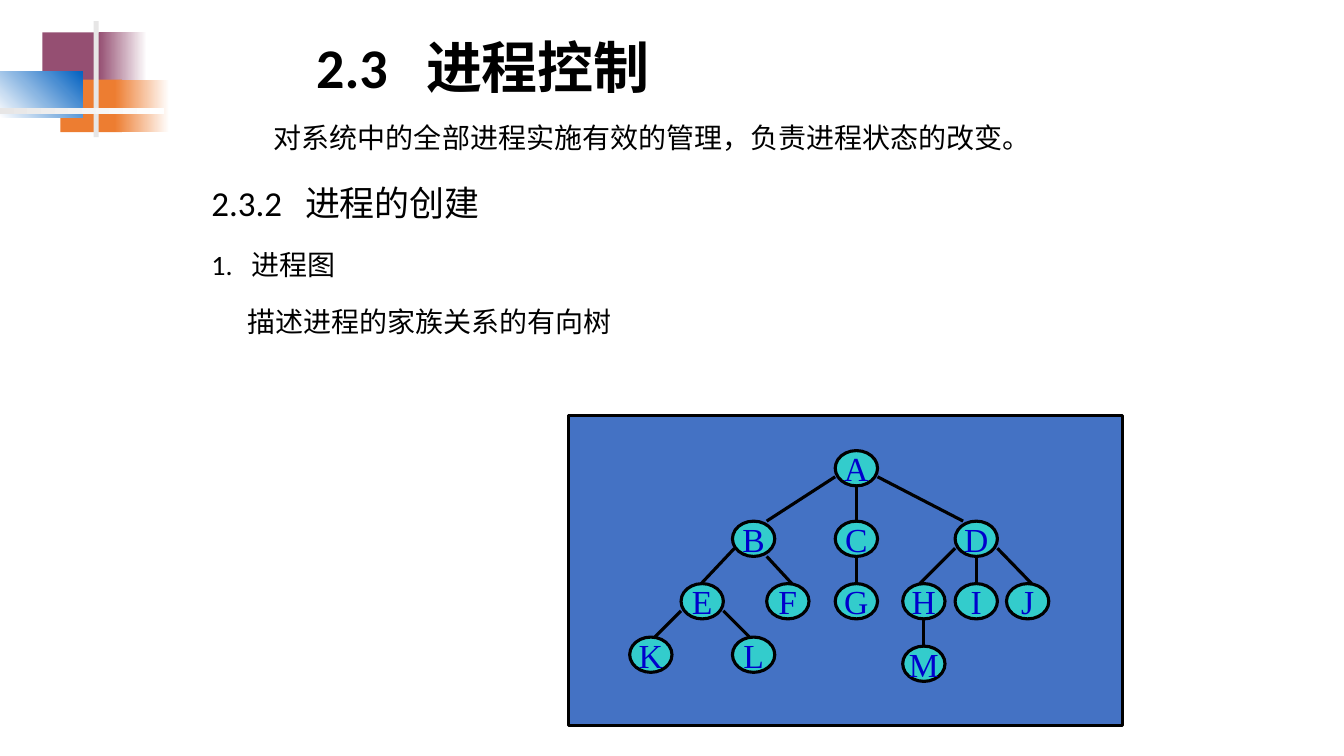
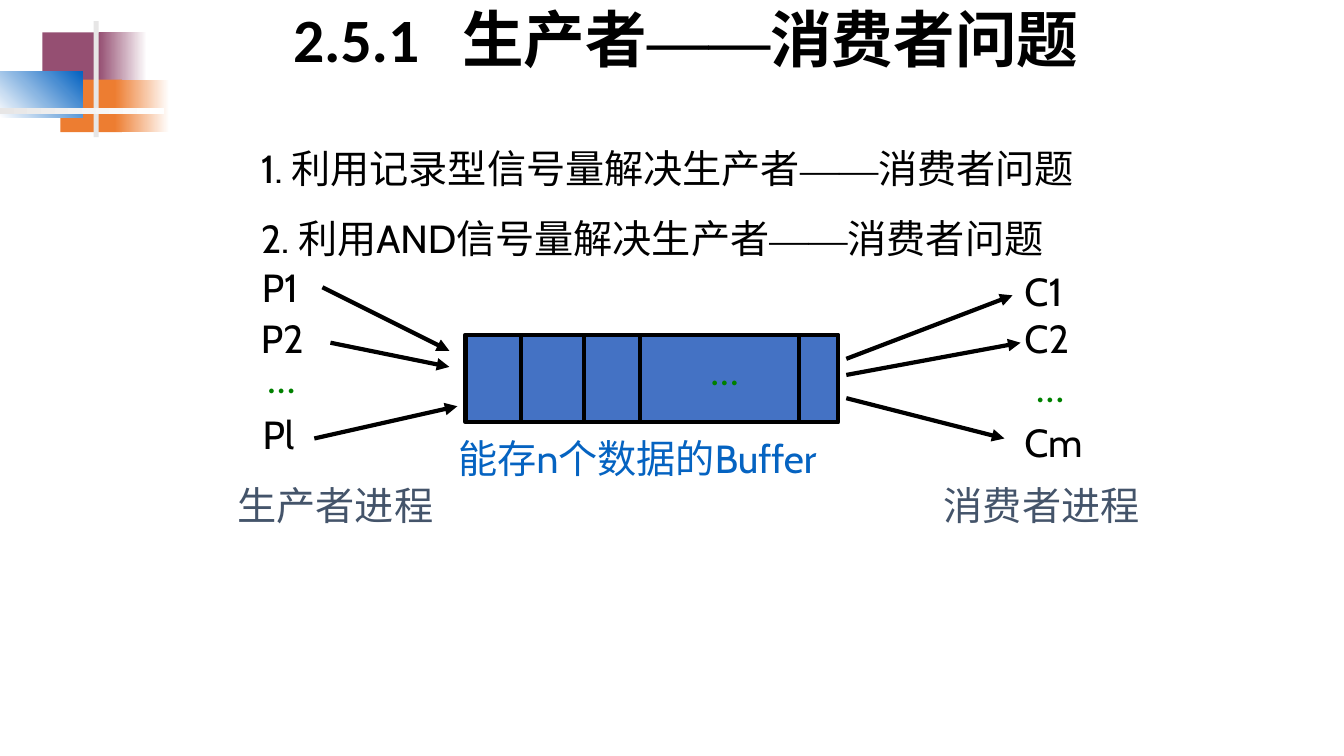
from dataclasses import dataclass

from lxml import etree
from pptx import Presentation
from pptx.dml.color import RGBColor
from pptx.enum import shapes, text
from pptx.oxml import ns
from pptx.util import Emu, Pt

PX = 9144


@dataclass(frozen=True)
class Theme:
    black: str = "000000"
    white: str = "FFFFFF"
    plum: str = "954F72"
    orange: str = "ED7D31"
    blue: str = "0563C1"
    panel: str = "4472C4"
    gray: str = "E7E6E6"
    slate: str = "44546A"
    green: str = "008000"
    node: str = "33CCCC"
    node_text: str = "0000CC"
    body: str = "Calibri"
    label: str = "Cabin"
    serif: str = "Times New Roman"
    title_size: int = 40
    wide_title_size: int = 44
    heading_size: int = 25
    body_size: int = 20
    label_size: int = 28
    node_size: int = 24
    thin: float = 2.25
    thick: float = 3


T = Theme()


def px(*values):
    return [Emu(v * PX) for v in values]


def rgb(value):
    return RGBColor.from_string(value)


def sub(parent, tag, **attrs):
    return etree.SubElement(parent, ns.qn(tag), **attrs)


class Deck:
    def __init__(self):
        self.prs = Presentation()
        self.prs.slide_width, self.prs.slide_height = px(1334, 750)
        self.s = None

    def slide(self):
        self.s = self.prs.slides.add_slide(self.prs.slide_layouts[6])
        self.rect((42, 32, 64, 52), T.plum)
        self.fade((98, 32, 48, 52), T.plum, T.white)
        self.rect((60, 79, 61, 52), T.orange)
        self.fade((114, 79, 54, 52), T.orange, T.white)
        self.fade((0, 71, 82, 46), T.white, T.blue, 45)
        self.rect((93, 21, 5, 115), T.gray)
        self.fade((0, 107, 163, 6), T.gray, T.white)

    def shape(self, kind, box, line=None):
        sp = self.s.shapes.add_shape(kind, *px(*box))
        sp.shadow.inherit = False
        if line:
            sp.line.color.rgb = rgb(T.black)
            sp.line.width = Pt(line)
        else:
            sp.line.fill.background()
        return sp

    def rect(self, box, color, line=None):
        sp = self.shape(shapes.MSO_SHAPE.RECTANGLE, box, line)
        sp.fill.solid()
        sp.fill.fore_color.rgb = rgb(color)

    def fade(self, box, start, end, angle=0):
        fill = self.shape(shapes.MSO_SHAPE.RECTANGLE, box).fill
        fill.gradient()
        fill.gradient_angle = angle
        for stop, color, position in zip(fill.gradient_stops, (start, end), (0, 1)):
            stop.color.rgb = rgb(color)
            stop.position = position

    def node(self, name, left, top):
        sp = self.shape(shapes.MSO_SHAPE.OVAL, (left, top, 42, 35), T.thin)
        sp.fill.solid()
        sp.fill.fore_color.rgb = rgb(T.node)
        tf = sp.text_frame
        tf.word_wrap = False
        tf.vertical_anchor = text.MSO_ANCHOR.MIDDLE
        p = tf.paragraphs[0]
        p.alignment = text.PP_ALIGN.CENTER
        self.run(p, name, T.node_size, T.serif, T.node_text)

    def line(self, start, end, width, arrow=False):
        c = self.s.shapes.add_connector(
            shapes.MSO_CONNECTOR.STRAIGHT, *px(*start, *end))
        c.line.color.rgb = rgb(T.black)
        c.line.width = Pt(width)
        props = c.element.spPr
        if arrow:
            sub(props.find(ns.qn("a:ln")), "a:tailEnd", type="triangle")
        sub(props, "a:effectLst")

    def run(self, p, words, size, font, color, bold=False):
        r = p.add_run()
        r.text = words
        r.font.size = Pt(size)
        r.font.bold = bold
        r.font.color.rgb = rgb(color)
        r.font.name = font
        sub(r._r.get_or_add_rPr(), "a:ea", typeface=font)

    def frame(self, box, wrap=True, grow=False):
        tf = self.s.shapes.add_textbox(*px(*box)).text_frame
        tf.word_wrap = wrap
        if grow:
            tf.auto_size = text.MSO_AUTO_SIZE.SHAPE_TO_FIT_TEXT
        return tf

    def tab(self, p, stop):
        tabs = sub(p._p.get_or_add_pPr(), "a:tabLst")
        sub(tabs, "a:tab", pos=str(stop * PX), algn="l")

    def dashed(self, p, before, after, size, font, bold=False):
        for words, face in ((before, font), ("——", T.serif), (after, font)):
            self.run(p, words, size, face, T.black, bold)

    def title(self, box, stop):
        tf = self.frame(box)
        tf.vertical_anchor = text.MSO_ANCHOR.MIDDLE
        p = tf.paragraphs[0]
        p.line_spacing = 0.9
        self.tab(p, stop)
        return p

    def body(self, box, rows):
        tf = self.frame(box)
        for i, (words, size, margin, stop) in enumerate(rows):
            p = tf.add_paragraph() if i else tf.paragraphs[0]
            p.line_spacing = 1.3
            if i:
                p.space_before = Pt(10)
            p._p.get_or_add_pPr().set("marL", str(margin * PX))
            if stop:
                self.tab(p, stop)
            self.run(p, words, size, T.body, T.black)

    def item(self, box, before, after):
        p = self.frame(box, grow=True).paragraphs[0]
        p.line_spacing = 1.5
        self.dashed(p, before, after, T.label_size, T.label)

    def label(self, words, left, top, width, font=T.label, color=T.black):
        p = self.frame((left, top, width, 48), False, True).paragraphs[0]
        p.line_spacing = 0.8
        self.run(p, words, T.label_size, font, color)


def process_tree(d):
    d.slide()
    d.run(d.title((304, 28, 392, 83), 109), "2.3\t进程控制",
          T.title_size, T.body, T.black, True)
    d.body((200, 105, 850, 284), (
        ("对系统中的全部进程实施有效的管理，负责进程状态的改变。", T.body_size, 62, 0),
        ("2.3.2\t进程的创建", T.heading_size, 0, 93),
        ("1.\t进程图", T.body_size, 0, 40),
        ("描述进程的家族关系的有向树", T.body_size, 36, 0)))
    d.rect((564, 412, 550, 308), T.panel, T.thin)

    levels = {
        447: {"A": 829},
        517: {"B": 727, "C": 829, "D": 948},
        579: {"E": 676, "F": 761, "G": 829, "H": 896, "I": 948, "J": 999},
        632: {"K": 625, "L": 727},
        641: {"M": 896},
    }
    spots = {name: (left, top) for top, row in levels.items()
             for name, left in row.items()}
    for name, spot in spots.items():
        d.node(name, *spot)

    upright = [(pair, 21, 35, 21) for pair in ("AC", "CG", "DI", "HM")]
    slanted = [("AB", 0, 26, 34), ("AD", 42, 26, 8), ("BE", 2, 27, 20),
               ("BF", 34, 35, 25), ("DH", 0, 27, 17), ("DJ", 42, 27, 25),
               ("EK", 0, 27, 25), ("EL", 42, 27, 17)]
    for (parent, child), dx, dy, child_dx in upright + slanted:
        left, top = spots[parent]
        child_left, child_top = spots[child]
        d.line((left + dx, top + dy), (child_left + child_dx, child_top), T.thin)


def producer_consumer(d):
    d.slide()
    d.dashed(d.title((281, 0, 852, 85), 168), "2.5.1\t生产者", "消费者问题",
             T.wide_title_size, T.body, True)
    d.item((249, 115, 858, 80), "1. 利用记录型信号量解决生产者", "消费者问题")
    d.item((249, 184, 833, 80), "2. 利用AND信号量解决生产者", "消费者问题")

    top, height = 332, 87
    d.rect((462, top, 370, height), T.panel, T.thick)
    for x in (517, 580, 635, 793):
        d.line((x, top), (x, top + height), T.thick)

    for left, y in ((696, 348), (256, 356), (1019, 364)):
        d.label("…", left, y, 47, T.body, T.green)
    d.label("能存n个数据的Buffer", 445, 435, 419, color=T.blue)
    for words, left, y, width in (
            ("P1", 250, 265, 65), ("P2", 249, 316, 70), ("Pl", 251, 411, 53),
            ("C1", 1007, 269, 67), ("C2", 1007, 316, 67), ("Cm", 1007, 419, 81)):
        d.label(words, left, y, width)
    for words, left in (("生产者进程", 226), ("消费者进程", 927)):
        d.label(words, left, 482, 214, T.body, T.slate)

    for start, end in (
            ((320, 285), (446, 348)), ((328, 340), (446, 364)),
            ((312, 435), (454, 403)), ((840, 356), (1005, 293)),
            ((840, 372), (1013, 340)), ((840, 395), (997, 435))):
        d.line(start, end, T.thick, True)


def main():
    d = Deck()
    process_tree(d)
    producer_consumer(d)
    d.prs.save("out.pptx")


if __name__ == "__main__":
    main()
